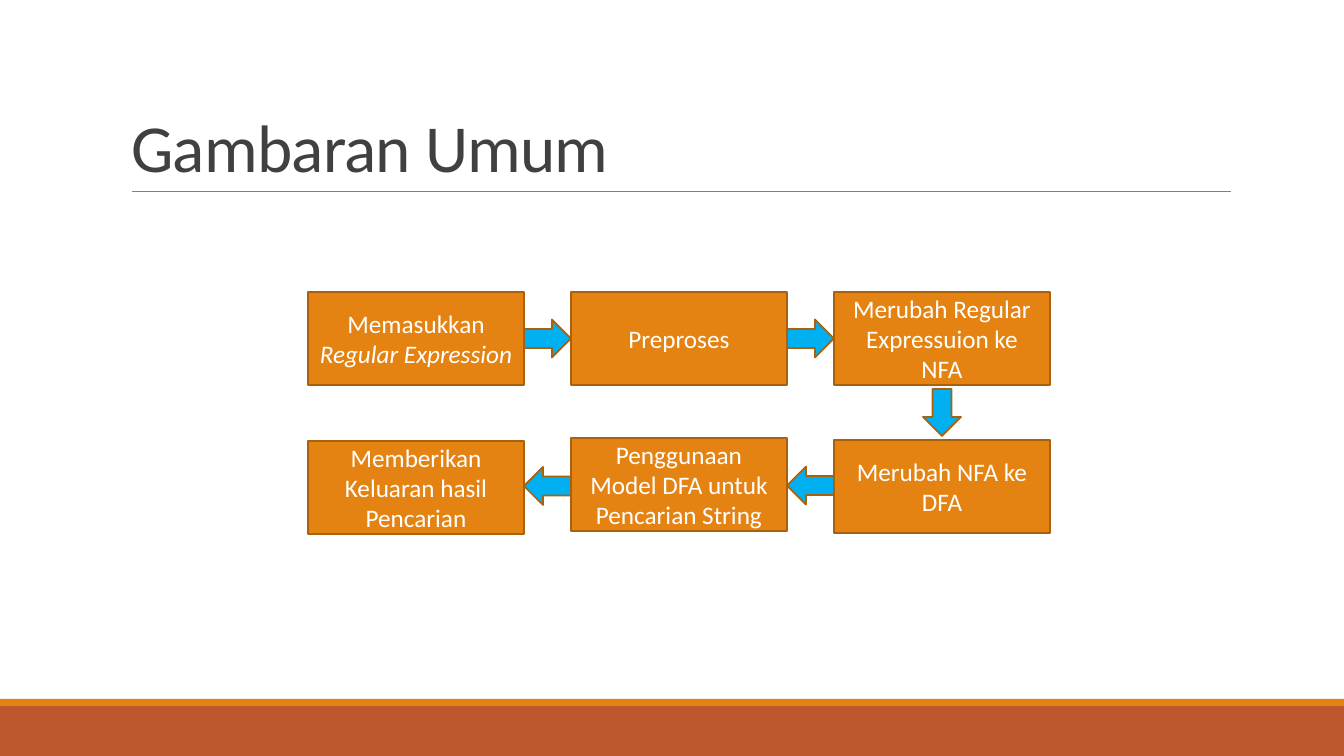
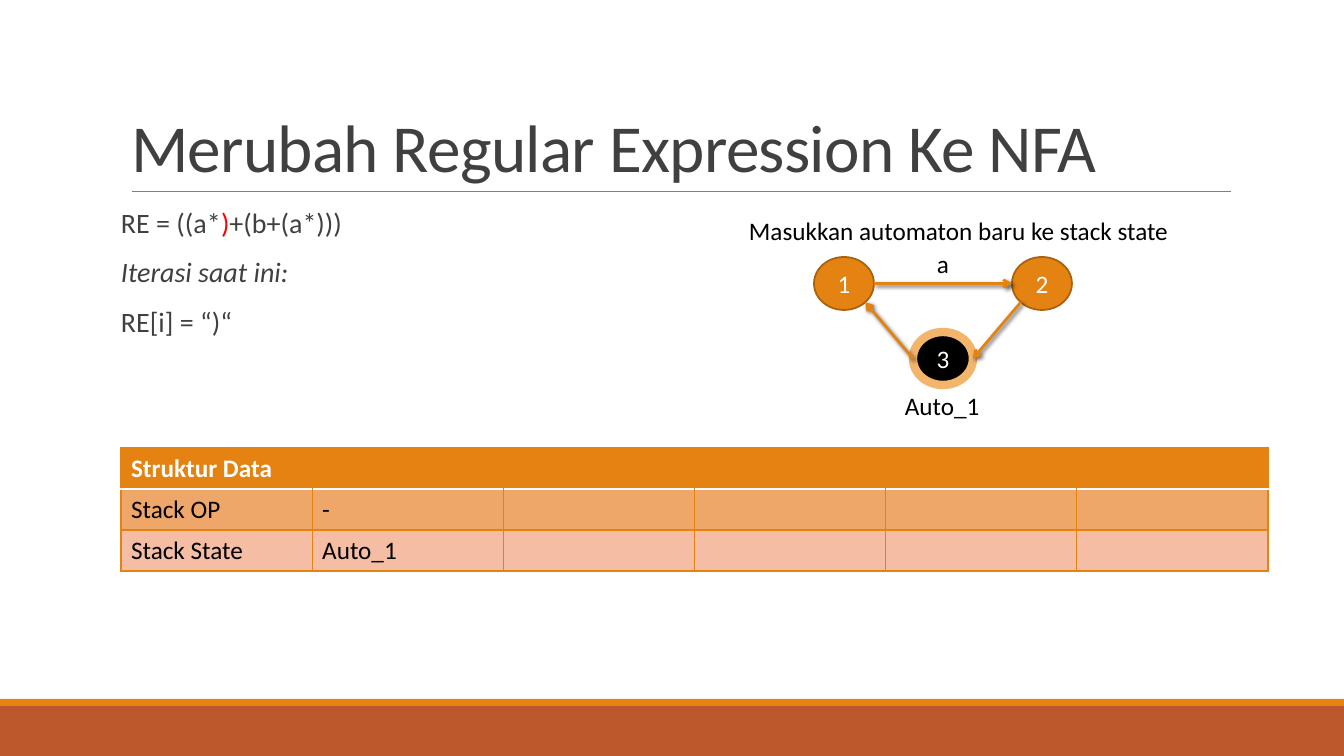
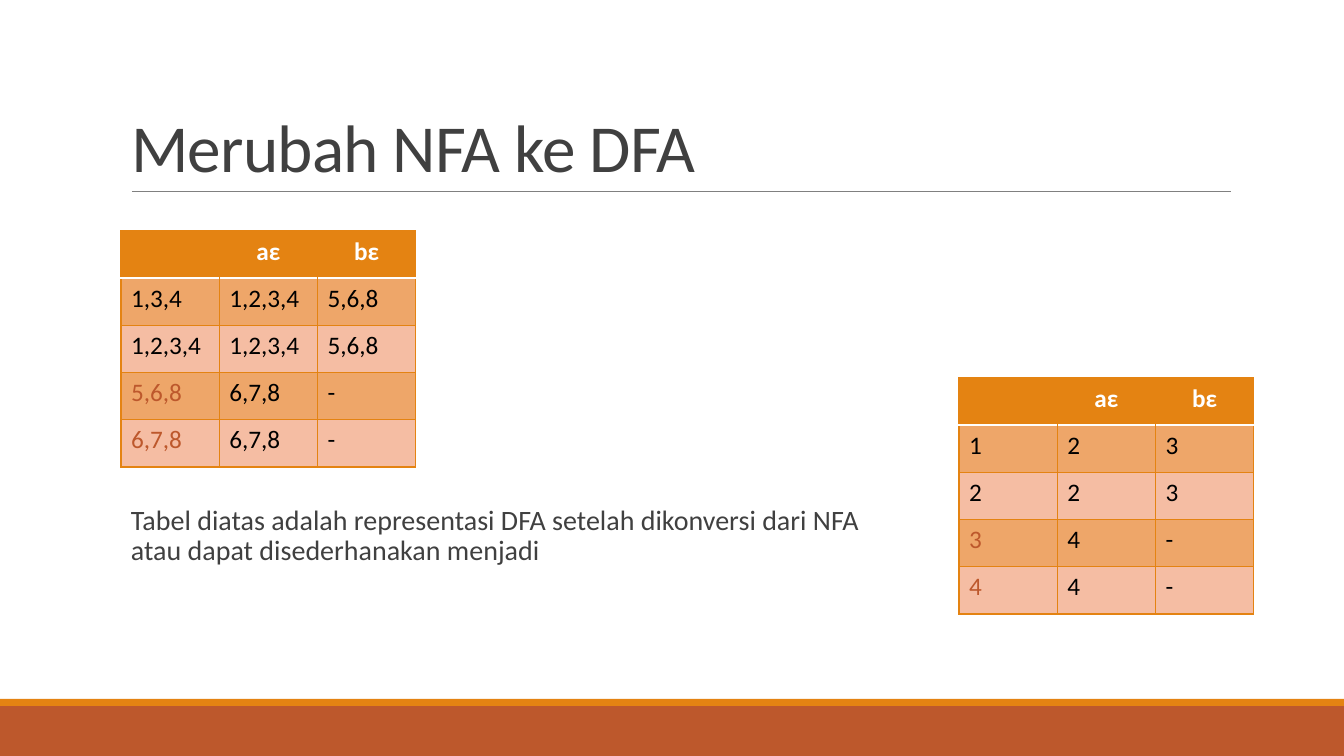
from dataclasses import dataclass
from math import atan2, cos, degrees, radians, sin

from lxml.etree import SubElement
from pptx import Presentation
from pptx.dml.color import RGBColor
from pptx.enum.shapes import MSO_CONNECTOR, MSO_SHAPE
from pptx.enum.text import MSO_ANCHOR, MSO_AUTO_SIZE, PP_ALIGN
from pptx.oxml.ns import qn
from pptx.util import Emu, Pt


@dataclass(frozen=True)
class Theme:
    font: str = "Calibri"
    orange: str = "E48312"
    rust: str = "BD582C"
    outline: str = "A9610D"
    glow: str = "F3B56C"
    blue: str = "00B0F0"
    red: str = "FF0000"
    band_dark: str = "EEA669"
    band_light: str = "F5BDA3"
    ink: str = "404040"
    rule: str = "808080"
    black: str = "000000"
    white: str = "FFFFFF"
    title_size: int = 48
    body_size: int = 20
    label_size: int = 18


THEME = Theme()
EMU_PER_PX = 914400 / 100.8
PLAIN_TABLE = "{2D5ABB26-0587-4C30-8999-92F81FD0307C}"
BODY_SPACING = {"line_spacing": 0.9, "space_before": Pt(12), "space_after": Pt(2)}
CENTRED = {"alignment": PP_ALIGN.CENTER}


def px(length):
    return Emu(round(length * EMU_PER_PX))


def apply(target, values):
    for name, value in values.items():
        setattr(target, name, value)


def place(area, left, top, width, height):
    return area[0] + left, area[1] + top, width, height


def write(frame, paragraphs, size, colour, para_format=None, frame_format=None):
    apply(frame, frame_format or {})
    for index, spans in enumerate(paragraphs):
        para = frame.add_paragraph() if index else frame.paragraphs[0]
        apply(para, para_format or {})
        if not index:
            para.space_before = Pt(0)
        for text, changes in spans:
            span = para.add_run()
            span.text = text
            values = {"name": THEME.font, "size": Pt(size), "colour": colour, **changes}
            span.font.color.rgb = RGBColor.from_string(values.pop("colour"))
            apply(span.font, values)


def add_block(page, kind, box, fill, outline=None, weight=1.25, spans=None):
    block = page.shapes.add_shape(kind, *map(px, box))
    block.shadow.inherit = False
    block.fill.solid()
    block.fill.fore_color.rgb = RGBColor.from_string(fill)
    if outline:
        block.line.color.rgb = RGBColor.from_string(outline)
        block.line.width = Pt(weight)
    else:
        block.line.fill.background()
    if spans:
        write(block.text_frame, [spans], THEME.label_size, THEME.white, CENTRED,
              {"word_wrap": True, "vertical_anchor": MSO_ANCHOR.MIDDLE})
    return block


def add_line(page, start, end, colour, weight):
    line = page.shapes.add_connector(MSO_CONNECTOR.STRAIGHT, *map(px, (*start, *end)))
    line.line.color.rgb = RGBColor.from_string(colour)
    line.line.width = Pt(weight)
    properties = line.element.spPr
    return properties, SubElement(properties, qn("a:effectLst"))


def add_transition(page, start, end):
    properties, effects = add_line(page, start, end, THEME.orange, 2)
    SubElement(properties.find(qn("a:ln")), qn("a:tailEnd"), type="arrow")
    shadow = SubElement(effects, qn("a:outerShdw"), blurRad="38100", dist="25400",
                        dir="2700000", rotWithShape="0")
    colour = SubElement(shadow, qn("a:srgbClr"), val=THEME.black)
    SubElement(colour, qn("a:alpha"), val="60000")


def add_page(deck, title):
    page = deck.slides.add_slide(deck.slide_layouts[5])
    add_block(page, MSO_SHAPE.RECTANGLE, (0, 706, 1344, 50), THEME.rust)
    add_block(page, MSO_SHAPE.RECTANGLE, (0, 699, 1344, 7), THEME.orange)
    add_line(page, (132, 191), (1231, 191), THEME.rule, 0.5)
    heading = page.shapes.title
    apply(heading, dict(zip(("left", "top", "width", "height"),
                            map(px, (121, 31, 1109, 160)))))
    write(heading.text_frame, [[(title, {})]], THEME.title_size, THEME.ink,
          {"alignment": PP_ALIGN.LEFT, "line_spacing": 0.85},
          {"vertical_anchor": MSO_ANCHOR.BOTTOM, "word_wrap": True,
           "auto_size": MSO_AUTO_SIZE.NONE})
    for span in heading.text_frame.paragraphs[0].runs:
        span.font._element.set("spc", "-50")
    return page


def add_body(page, box, paragraphs, indent=0):
    body = page.shapes.add_textbox(*map(px, box))
    write(body.text_frame, paragraphs, THEME.body_size, THEME.ink, BODY_SPACING,
          {"word_wrap": True, "margin_left": px(indent), "margin_right": 0})


def add_label(page, box, text):
    label = page.shapes.add_textbox(*map(px, box))
    write(label.text_frame, [[(text, {})]], THEME.label_size, THEME.black,
          frame_format={"word_wrap": False, "auto_size": MSO_AUTO_SIZE.SHAPE_TO_FIT_TEXT})


def add_flow(page, area, steps):
    width, height = 216, 93
    centres = []
    for column, top, spans in steps:
        box = place(area, column * 263, top, width, height)
        add_block(page, MSO_SHAPE.RECTANGLE, box, THEME.orange, THEME.outline, spans=spans)
        centres.append((box[0] + width / 2, box[1] + height / 2))
    for (x1, y1), (x2, y2) in zip(centres, centres[1:]):
        box = ((x1 + x2 - 47) / 2, (y1 + y2 - 38) / 2, 47, 38)
        arrow = add_block(page, MSO_SHAPE.RIGHT_ARROW, box, THEME.blue, THEME.outline)
        arrow.rotation = round(degrees(atan2(y2 - y1, x2 - x1)) / 90) * 90 % 360


def rim(box, angle):
    left, top, width, height = box
    turn = radians(angle)
    return left + width / 2 * (1 + cos(turn)), top + height / 2 * (1 + sin(turn))


def add_automaton(page, area, caption, symbol, name):
    add_label(page, place(area, 0, 0, 443, 40), caption)
    add_label(page, place(area, 188, 33, 32, 40), symbol)
    add_label(page, place(area, 156, 175, 96, 40), name)
    first, second, third = (place(area, left, top, 60, 53)
                            for left, top in ((75, 47), (273, 47), (174, 122)))
    for text, box, fill, outline, weight in (
            ("1", first, THEME.orange, THEME.outline, 1.25),
            ("2", second, THEME.orange, THEME.outline, 1.25),
            ("3", third, THEME.black, THEME.glow, 6)):
        add_block(page, MSO_SHAPE.OVAL, box, fill, outline, weight, [(text, {})])
    for source, leaving, target, arriving in (
            (first, 0, second, 180), (second, 135, third, 0), (third, 180, first, 45)):
        add_transition(page, rim(source, leaving), rim(target, arriving))


def set_borders(cell, borders):
    properties = cell._tc.get_or_add_tcPr()
    for side, (colour, weight) in borders.items():
        line = SubElement(properties, qn(f"a:ln{side}"), w=str(Pt(weight)))
        SubElement(SubElement(line, qn("a:solidFill")), qn("a:srgbClr"), val=colour)


def cell_borders(row, column, last_column):
    edge, divider = (THEME.orange, 1), (THEME.white, 1.25)
    if row:
        return {"L": edge, "R": edge, "T": divider if row == 1 else edge, "B": edge}
    borders = {"L": edge} if column == 0 else {}
    if column == last_column:
        borders["R"] = edge
    return {**borders, "T": edge, "B": divider}


def add_grid(page, box, rows, header_format=None, accent_rows=()):
    last_column = len(rows[0]) - 1
    holder = page.shapes.add_table(len(rows), last_column + 1, *map(px, box))
    holder.element.find(".//" + qn("a:tableStyleId")).text = PLAIN_TABLE
    grid = holder.table
    for column in grid.columns:
        column.width = px(box[2] / len(rows[0]))
    for row_index, texts in enumerate(rows):
        grid.rows[row_index].height = px(box[3] / len(rows))
        for column_index, text in enumerate(texts):
            cell = grid.cell(row_index, column_index)
            set_borders(cell, cell_borders(row_index, column_index, last_column))
            fill, colour = THEME.band_light, THEME.black
            if row_index == 0:
                fill, colour = THEME.orange, THEME.white
            elif row_index % 2:
                fill = THEME.band_dark
            if column_index == 0 and row_index in accent_rows:
                colour = THEME.rust
            cell.fill.solid()
            cell.fill.fore_color.rgb = RGBColor.from_string(fill)
            if text:
                write(cell.text_frame, [[(text, {"bold": row_index == 0})]],
                      THEME.label_size, colour, None if row_index else header_format)


def build_overview(deck):
    page = add_page(deck, "Gambaran Umum")
    add_flow(page, (308, 292), [
        (0, 0, [("Memasukkan ", {}), ("Regular Expression", {"italic": True})]),
        (1, 0, [("Preproses", {})]),
        (2, 0, [("Merubah Regular Expressuion ke NFA", {})]),
        (2, 148, [("Merubah NFA ke DFA", {})]),
        (1, 146, [("Penggunaan Model DFA untuk Pencarian String", {})]),
        (0, 149, [("Memberikan Keluaran hasil Pencarian", {})]),
    ])


def build_nfa(deck):
    page = add_page(deck, "Merubah Regular Expression Ke NFA")
    add_body(page, (121, 204, 1109, 444), [
        [("RE = ((a*", {}), (")", {"colour": THEME.red}), ("+(b+(a*)))", {})],
        [("Iterasi saat ini:", {"italic": True})],
        [("RE[i] = “)“", {})],
    ])
    add_grid(page, (121, 448, 1147, 123), [
        ("Struktur Data", "", "", "", "", ""),
        ("Stack OP", "-", "", "", "", ""),
        ("Stack State", "Auto_1", "", "", "", ""),
    ])
    add_automaton(page, (739, 210), "Masukkan automaton baru ke stack state", "a", "Auto_1")


def build_dfa(deck):
    page = add_page(deck, "Merubah NFA ke DFA")
    header = ("", "aε", "bε")
    add_body(page, (121, 501, 768, 146), [[(
        "Tabel diatas adalah representasi DFA setelah dikonversi dari NFA "
        "atau dapat disederhanakan menjadi", {})]], indent=10)
    for left, top, rows in (
            (121, 231, [("1,3,4", "1,2,3,4", "5,6,8"), ("1,2,3,4", "1,2,3,4", "5,6,8"),
                        ("5,6,8", "6,7,8", "-"), ("6,7,8", "6,7,8", "-")]),
            (959, 378, [("1", "2", "3"), ("2", "2", "3"),
                        ("3", "4", "-"), ("4", "4", "-")])):
        add_grid(page, (left, top, 295, 236), [header, *rows], CENTRED, accent_rows=(3, 4))


def main():
    deck = Presentation()
    apply(deck, {"slide_width": px(1344), "slide_height": px(756)})
    for build in (build_overview, build_nfa, build_dfa):
        build(deck)
    deck.save("out.pptx")


if __name__ == "__main__":
    main()
